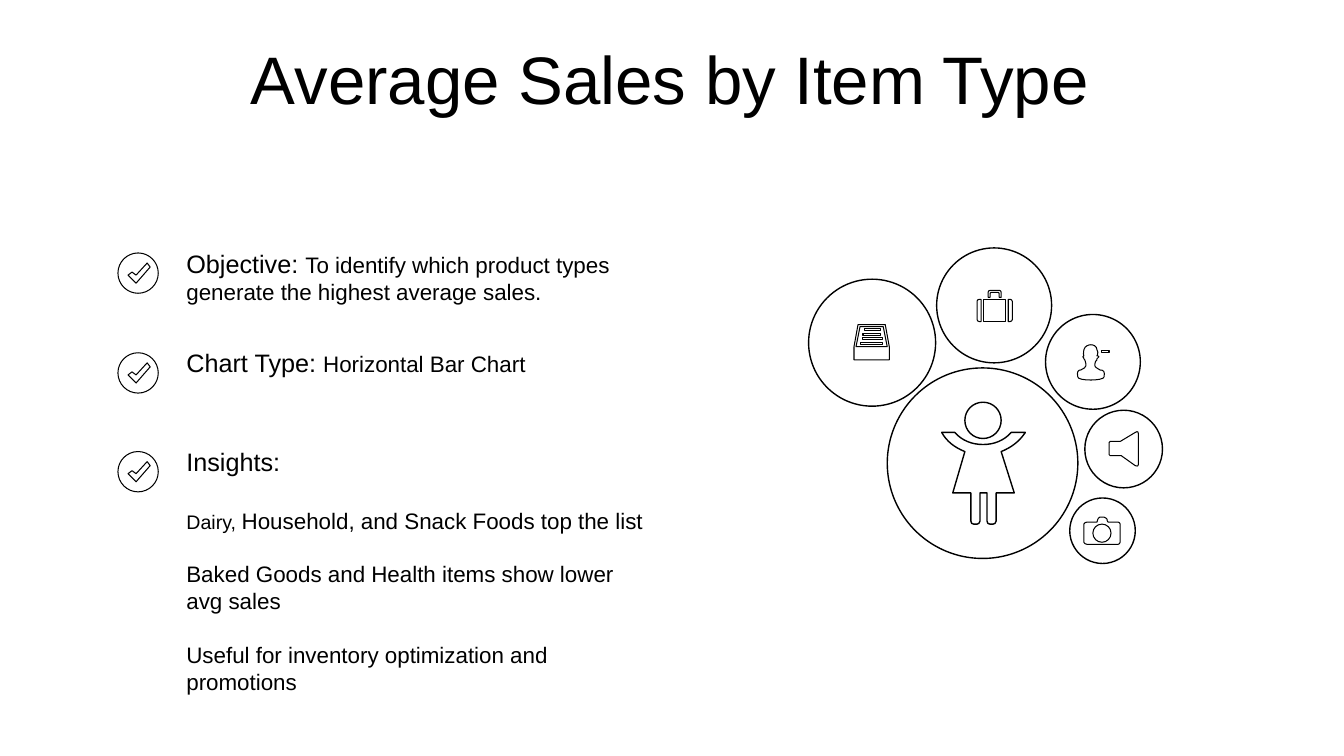
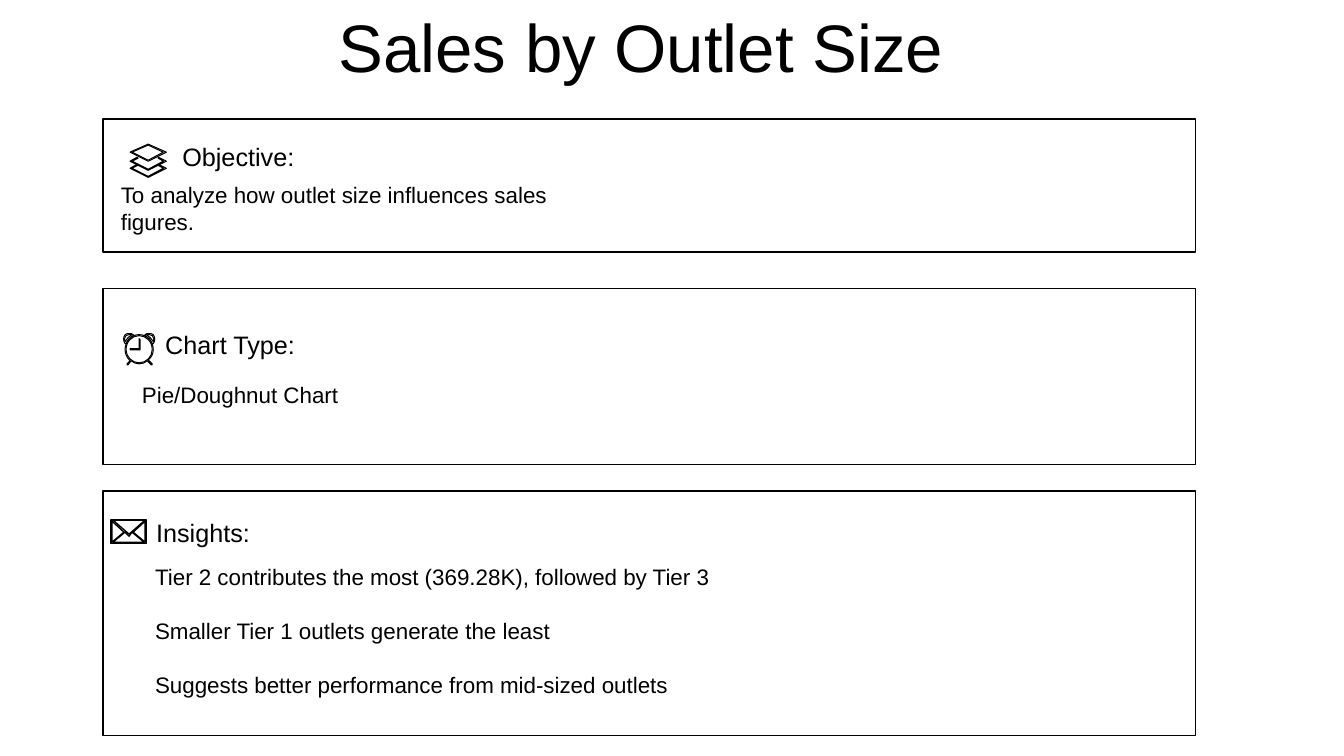
from lxml import etree
from pptx import Presentation
from pptx.dml.color import RGBColor
from pptx.enum.shapes import MSO_SHAPE
from pptx.enum.text import MSO_ANCHOR
from pptx.oxml.ns import qn
from pptx.util import Emu, Pt

OVAL, RECT = MSO_SHAPE.OVAL, MSO_SHAPE.RECTANGLE
TOP, BOTTOM = MSO_ANCHOR.TOP, MSO_ANCHOR.BOTTOM
SCALE = 9144
INK, PAPER = "000000", "FFFFFF"
FONT = {"name": "Arial", "bold": False, "italic": False}
TITLE, HEAD, BODY, SMALL = 48, 18, 16, 14
HEAD_GAP, BODY_GAP = 21.4, 19.2
THIN, BOLD = 0.75, 1
DROPS = (0, 99, 197)
FLIP = 276

RINGS = [
    (880, 365, 189), (802, 277, 126), (929, 246, 114),
    (1037, 312, 94), (1076, 407, 77), (1061, 494, 65),
]
SLOTS = [(853, 340, 22), (855, 335, 20), (856, 331, 17), (857, 326, 16)]
PANELS = [(118, 132), (286, 175), (487, 243)]

HORN = """M 1126 429 L 1111 438 1101 438 C 1101 438 1100 438 1100 439
L 1100 451 C 1100 452 1101 452 1101 452 L 1112 452 1126 462
C 1129 463 1129 462 1129 459 L 1129 432 C 1129 429 1129 427 1126 429"""
USER = """M 1091 367 C 1089 366 1086 364 1086 363 L 1086 361
C 1086 359 1087 358 1088 357 L 1088 356 C 1089 356 1089 354 1090 354
C 1090 353 1088 353 1088 353 C 1088 353 1090 350 1088 347
C 1088 343 1084 342 1082 342 C 1080 342 1076 343 1075 347
C 1074 350 1075 353 1075 353 C 1075 353 1074 353 1074 354
C 1075 354 1075 356 1075 356 L 1076 357 C 1076 358 1077 359 1077 361
L 1077 363 C 1077 364 1075 366 1072 367 C 1069 367 1068 369 1069 374
C 1069 376 1075 377 1082 377 C 1088 377 1095 376 1095 374
C 1096 369 1095 367 1091 367"""
CAMERA = """M 1109 518 L 1099 518 C 1098 518 1098 515 1098 515
C 1098 515 1096 513 1095 513 L 1091 513 C 1090 513 1089 515 1089 515
C 1089 515 1088 518 1088 518 L 1078 518 C 1077 518 1075 519 1075 520
L 1075 538 C 1075 539 1077 540 1078 540 L 1109 540
C 1110 540 1111 539 1111 538 L 1111 520 C 1111 519 1110 518 1109 518
Z M 1093 538 C 1088 538 1084 534 1084 529 C 1084 524 1088 520 1093 520
C 1098 520 1102 524 1102 529 C 1102 534 1098 538 1093 538"""
CASE = """M 1000 297 L 1002 297 C 1003 297 1004 298 1004 299 L 1004 317
C 1004 318 1003 319 1002 319 L 1000 319
Z M 975 297 L 997 297 997 319 975 319
Z M 971 297 L 973 297 973 319 971 319 C 970 319 969 318 969 317
L 969 299 C 969 298 970 297 971 297
Z M 982 288 L 991 288 C 992 288 993 289 993 290 L 993 295 991 295 991 291
C 991 291 990 290 990 290 L 983 290 C 983 290 982 291 982 291
L 982 295 980 295 980 290 C 980 289 981 288 982 288"""
TRAY = """M 878 322 L 851 322 847 344 847 357 882 357 882 344
Z M 849 344 L 853 324 876 324 880 344"""
GIRL = """M 934 429 L 947 429 C 954 437 964 441 975 441
C 986 441 996 437 1003 429 L 1017 429 C 1011 438 1003 444 993 448
L 1006 489 988 489 988 517 C 988 519 986 520 985 520
L 982 520 C 980 520 979 519 979 517 L 979 489 972 489 972 517
C 972 519 970 520 969 520 L 966 520 C 964 520 963 519 963 517
L 963 489 945 489 957 448 C 947 444 939 438 934 429
Z M 975 399 C 985 399 993 407 993 417 C 993 427 985 435 975 435
C 965 435 957 427 957 417 C 957 407 965 399 975 399"""
CHECK = """M 137 251 C 126 251 117 260 117 271 C 117 282 126 291 137 291
C 148 291 157 282 157 271 C 157 260 148 251 137 251
Z M 135 281 L 127 273 131 270 135 273 146 261 149 265"""
SHEET = """M 147 160 L 165 151 147 143 129 151
Z M 147 144 L 162 151 147 159 131 151"""
EDGE = """M 157 164 L 162 167 147 175 131 167 137 164 136 163 129 167
147 176 165 167 157 163"""
CLOCK = """M 152 347 C 152 339 146 332 138 332 C 130 332 124 339 124 347
C 124 351 126 355 129 358 L 126 361 126 362 127 362 130 358
C 133 360 135 361 138 361 C 141 361 144 360 146 358
L 150 362 151 362 151 361 147 357 C 150 355 152 351 152 347
Z M 138 360 C 131 360 125 354 125 347 C 125 339 131 333 138 333
C 145 333 151 339 151 347 C 151 354 145 360 138 360"""
BELL = """M 124 341 L 125 341 C 125 341 126 338 128 336
C 130 334 132 333 132 333 L 133 333 132 332 C 131 331 130 331 128 331
C 127 331 125 331 124 332 C 122 335 122 338 124 341
Z M 125 333 C 126 332 127 332 128 332 C 129 332 130 332 131 332
C 130 333 128 334 127 335 C 126 336 125 338 124 339
C 123 337 123 335 125 333"""
HANDS = "M 138 336 L 138 346 129 346 129 347 139 347 139 337"
MAIL = """M 124 528 L 112 538 143 538 131 528 128 532
Z M 111 517 L 111 538 123 528 Z M 144 517 L 132 528 144 538
Z M 112 516 L 128 530 144 516 Z M 110 516 L 145 516 145 539 110 539"""


def px(num):
    return Emu(round(num * SCALE))


def tint(code):
    return RGBColor.from_string(code)


def paint(shape, width, alpha=100):
    shape.shadow.inherit = False
    shape.fill.solid()
    shape.fill.fore_color.rgb = tint(PAPER)
    shape.line.color.rgb = tint(INK)
    shape.line.width = Pt(width)
    if alpha < 100:
        fill = shape._element.spPr.find(qn("a:solidFill"))
        etree.SubElement(fill[0], qn("a:alpha"), val=str(alpha * 1000))


def block(slide, kind, box, width, alpha=100):
    shape = slide.shapes.add_shape(kind, *map(px, box))
    paint(shape, width, alpha)


def trace(loop, drop, flip):
    moves, dots, nums, mode = [], [], [], "M"
    for word in loop.split():
        if word.isalpha():
            mode = word
            continue
        nums.append(int(word))
        if len(nums) == 2:
            x, y = nums
            dots.append((px(flip - x if flip else x), px(y + drop)))
            nums = []
            if len(dots) == (3 if mode == "C" else 1):
                moves.append(dots)
                dots = []
    return moves


def bend(shape, moves):
    for node, dots in zip(list(shape._element.iter(qn("a:lnTo"))), moves):
        if len(dots) == 3:
            node.tag = qn("a:cubicBezTo")
            for index, (x, y) in enumerate(dots[:2]):
                spot = {"x": str(x - shape.left), "y": str(y - shape.top)}
                node.insert(index, node.makeelement(qn("a:pt"), spot))


def icon(slide, text, width=THIN, alpha=100, drop=0, flip=0):
    pen, bends = None, []
    for loop in text.split("Z"):
        start, *moves = trace(loop, drop, flip)
        if pen is None:
            pen = slide.shapes.build_freeform(*start[0], scale=1.0)
        else:
            pen.move_to(*start[0])
        pen.add_line_segments([dots[-1] for dots in moves], close=True)
        bends += moves
    shape = pen.convert_to_shape()
    bend(shape, bends)
    paint(shape, width, alpha)


def write(slide, box, lines, wrap=True, anchor=TOP, space=1.0):
    frame = slide.shapes.add_textbox(*map(px, box)).text_frame
    frame.word_wrap = wrap
    frame.vertical_anchor = anchor
    for index, (gap, runs) in enumerate(lines):
        para = frame.add_paragraph() if index else frame.paragraphs[0]
        looks = {"space_before": Pt(gap), "line_spacing": space}
        for key, value in looks.items():
            setattr(para, key, value)
        for words, size in runs:
            run = para.add_run()
            run.text = words
            for key, value in {**FONT, "size": Pt(size)}.items():
                setattr(run.font, key, value)
            run.font.color.rgb = tint(INK)


def title(slide, box, words):
    write(slide, box, [(0, [(words, TITLE)])], anchor=BOTTOM, space=0.9)


def items(slide):
    for left, top, size in RINGS:
        block(slide, OVAL, (left, top, size, size), BOLD, 20)
    for art in (HORN, USER, CAMERA, CASE, TRAY):
        icon(slide, art)
    block(slide, RECT, (1093, 348, 7, 2), THIN)
    for left, top, width in SLOTS:
        block(slide, RECT, (left, top, width, 2), THIN)
    icon(slide, GIRL, BOLD, 50)
    rows = [
        (67, [(0, [("Objective: ", HEAD),
                   ("To identify which product types generate the highest average sales.", BODY)])]),
        (40, [(0, [("Chart Type: ", HEAD), ("Horizontal Bar Chart", BODY)])]),
        (45, [(0, [("Insights:", HEAD)]),
              (HEAD_GAP, [("Dairy, ", SMALL),
                          ("Household, and Snack Foods top the list", BODY)]),
              (BODY_GAP, [("Baked Goods and Health items show lower avg sales", BODY)]),
              (BODY_GAP, [("Useful for inventory optimization and promotions", BODY)])]),
    ]
    for drop, (height, lines) in zip(DROPS, rows):
        icon(slide, CHECK, alpha=40, drop=drop)
        write(slide, (175, 241 + drop, 479, height), lines)
    title(slide, (239, 22, 908, 101), "Average Sales by Item Type")


def outlets(slide):
    for top, height in PANELS:
        block(slide, RECT, (102, top, 1084, height), BOLD, 20)
    icon(slide, SHEET)
    for drop in (0, -7):
        icon(slide, EDGE, drop=drop)
    icon(slide, CLOCK)
    for flip in (0, FLIP):
        icon(slide, BELL, flip=flip)
    icon(slide, HANDS)
    icon(slide, MAIL, BOLD)
    heads = [
        ((171, 135, 131, 40), "Objective:"),
        ((154, 322, 149, 40), "Chart Type:"),
        ((145, 508, 113, 71), "Insights:"),
    ]
    for box, words in heads:
        write(slide, box, [(0, [(words, HEAD)])], wrap=False)
    notes = [
        ((110, 175, 499, 64), ["To analyze how outlet size influences sales figures."]),
        ((131, 373, 488, 37), ["Pie/Doughnut Chart"]),
        ((144, 554, 907, 176), [
            "Tier 2 contributes the most (369.28K), followed by Tier 3",
            "Smaller Tier 1 outlets generate the least",
            "Suggests better performance from mid-sized outlets",
        ]),
    ]
    for box, texts in notes:
        write(slide, box, [(BODY_GAP if index else 0, [(words, BODY)])
                           for index, words in enumerate(texts)])
    title(slide, (326, 4, 823, 87), "Sales by Outlet Size")


def main():
    deck = Presentation()
    deck.slide_width, deck.slide_height = px(1333), px(750)
    for build in (items, outlets):
        build(deck.slides.add_slide(deck.slide_layouts[6]))
    deck.save("out.pptx")


if __name__ == "__main__":
    main()
